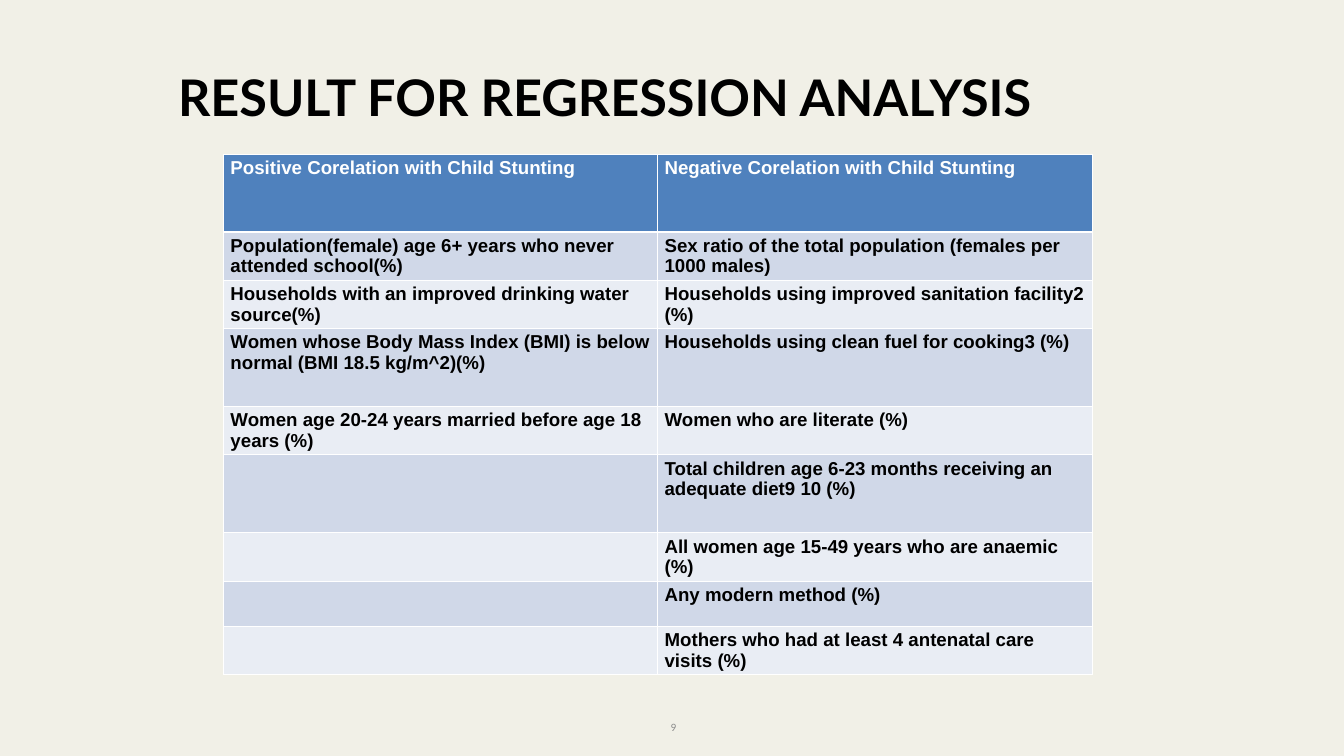
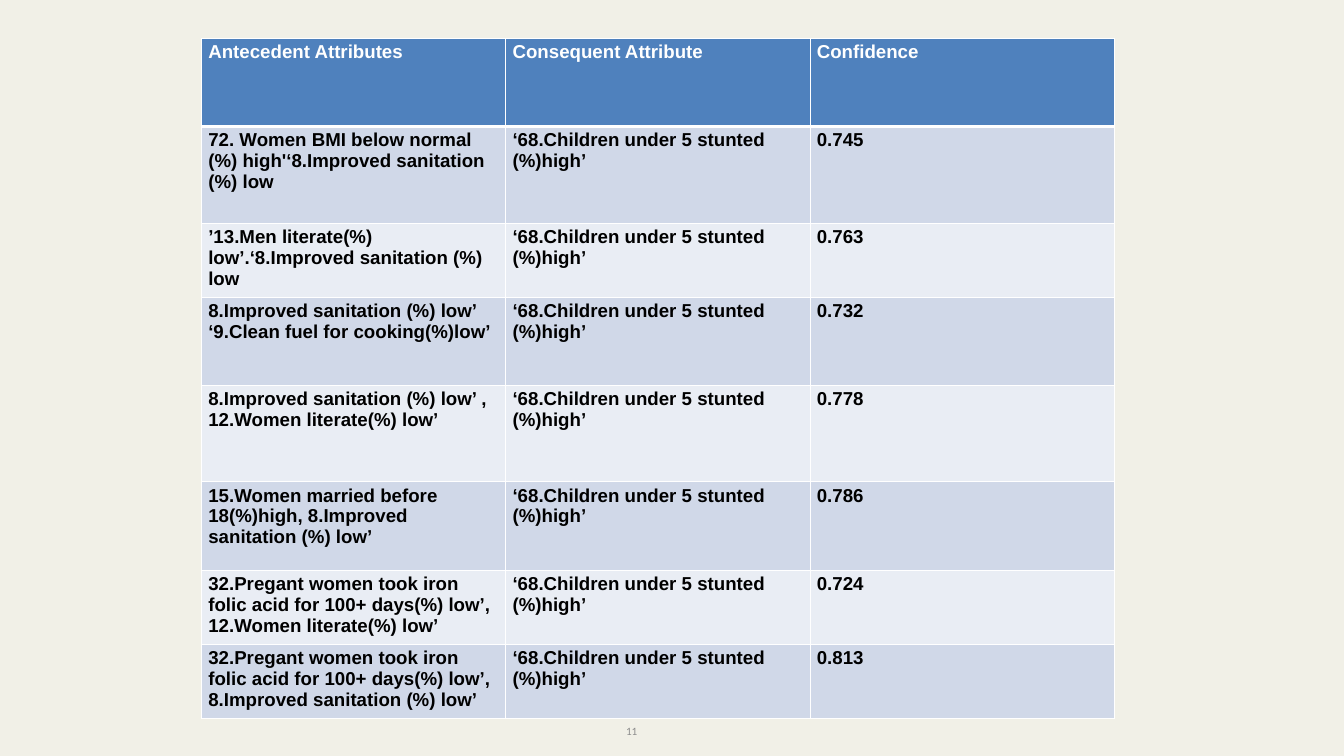
import pptx
import pptx.dml.color
import pptx.enum.text
import pptx.oxml
import pptx.oxml.ns
import pptx.util
from dataclasses import dataclass

Pt = pptx.util.Pt
Align = pptx.enum.text.PP_ALIGN
Anchor = pptx.enum.text.MSO_ANCHOR

STUNTED = "‘68.Children under 5 stunted (%)high’"

REGRESSION = {
    "title": "RESULT FOR REGRESSION ANALYSIS",
    "number": "9",
    "number_at": (563.75, 764.65),
    "table_at": (239.75, 164.9),
    "column_width": 465.1,
    "row_heights": (83.5, 51.5, 51.5, 83.5, 51.5, 83.5, 52, 48, 51.5),
    "rows": [
        ("Positive Corelation with Child Stunting",
         "Negative Corelation with Child Stunting"),
        ("Population(female) age 6+ years who never attended school(%)",
         "Sex ratio of the total population (females per 1000 males)"),
        ("Households with an improved drinking water source(%)",
         "Households using improved sanitation facility2 (%)"),
        ("Women whose Body Mass Index (BMI) is below normal (BMI 18.5 kg/m^2)(%)",
         "Households using clean fuel for cooking3 (%)"),
        ("Women age 20-24 years married before age 18 years (%)",
         "Women who are literate (%)"),
        ("", "Total children age 6-23 months receiving an adequate diet9 10 (%)"),
        ("", "All women age 15-49 years who are anaemic (%)"),
        ("", "Any modern method (%)"),
        ("", "Mothers who had at least 4 antenatal care visits (%)"),
    ],
}

RULES = {
    "title": None,
    "number": "11",
    "number_at": (522, 769),
    "table_at": (216, 41),
    "column_width": 326,
    "row_heights": (94.5, 104, 79, 94.5, 103, 95, 79, 79),
    "rows": [
        ("Antecedent Attributes", "Consequent Attribute", "Confidence"),
        ("72. Women BMI below normal (%) high'‘8.Improved sanitation (%) low",
         STUNTED, "0.745"),
        ("’13.Men literate(%) low’.‘8.Improved sanitation (%) low",
         STUNTED, "0.763"),
        ("8.Improved sanitation (%) low’ ‘9.Clean fuel for cooking(%)low’",
         STUNTED, "0.732"),
        ("8.Improved sanitation (%) low’ , 12.Women literate(%) low’",
         STUNTED, "0.778"),
        ("15.Women married before 18(%)high, 8.Improved sanitation (%) low’",
         STUNTED, "0.786"),
        ("32.Pregant women took iron folic acid for 100+ days(%) low’, "
         "12.Women literate(%) low’", STUNTED, "0.724"),
        ("32.Pregant women took iron folic acid for 100+ days(%) low’, "
         "8.Improved sanitation (%) low’", STUNTED, "0.813"),
    ],
}


@dataclass(frozen=True)
class Theme:
    background: str = "F1F0E7"
    header: str = "4F81BD"
    bands: tuple = ("D0D8E8", "E9EDF4")
    border: str = "FFFFFF"
    header_text: str = "FFFFFF"
    text: str = "000000"
    number: str = "8C8C8C"
    title_font: str = "Lato"
    table_font: str = "Arial"
    number_font: str = "Calibri"
    title_size: float = 54
    table_size: float = 20
    number_size: float = 12
    thin_line: float = 1
    header_line: float = 3


THEME = Theme()


def rgb(color):
    return pptx.dml.color.RGBColor.from_string(color)


def write_text(frame, text, *, font, size, color, bold=False,
               align=None, line_spacing=None):
    paragraph = frame.paragraphs[0]
    paragraph.alignment = align
    if line_spacing:
        paragraph.line_spacing = Pt(line_spacing)
    run = paragraph.add_run()
    run.text = text
    run.font.name = font
    run.font.size = Pt(size)
    run.font.bold = bold
    run.font.color.rgb = rgb(color)


def add_text_box(slide, left, top, width, height):
    frame = slide.shapes.add_textbox(Pt(left), Pt(top), Pt(width), Pt(height)).text_frame
    frame.word_wrap = True
    return frame


def add_title(slide, text):
    frame = add_text_box(slide, -36, 16.5, 1368, 107)
    frame.margin_left = frame.margin_right = frame.margin_top = frame.margin_bottom = 0
    frame.auto_size = pptx.enum.text.MSO_AUTO_SIZE.SHAPE_TO_FIT_TEXT
    write_text(frame, text, font=THEME.title_font, size=THEME.title_size,
               color=THEME.text, bold=True, align=Align.CENTER, line_spacing=119)


def add_slide_number(slide, text, left, top):
    frame = add_text_box(slide, left, top, 168, 28.8)
    frame.vertical_anchor = Anchor.MIDDLE
    write_text(frame, text, font=THEME.number_font, size=THEME.number_size,
               color=THEME.number, align=Align.RIGHT)


def set_borders(cell, top, bottom):
    """Draw all four sides; must run before the cell's fill is set."""
    properties = cell._tc.get_or_add_tcPr()
    widths = {"lnL": THEME.thin_line, "lnR": THEME.thin_line, "lnT": top, "lnB": bottom}
    for side, width in widths.items():
        properties.append(pptx.oxml.parse_xml(
            f'<a:{side} {pptx.oxml.ns.nsdecls("a")} w="{Pt(width)}"><a:solidFill>'
            f'<a:srgbClr val="{THEME.border}"/></a:solidFill></a:{side}>'))


def add_banded_table(slide, content):
    rows, heights = content["rows"], content["row_heights"]
    left, top = content["table_at"]
    width = content["column_width"]
    columns = len(rows[0])
    table = slide.shapes.add_table(len(rows), columns, Pt(left), Pt(top),
                                   Pt(width * columns), Pt(sum(heights))).table
    for column in table.columns:
        column.width = Pt(width)
    for index, (texts, height) in enumerate(zip(rows, heights)):
        is_header = index == 0
        table.rows[index].height = Pt(height)
        for cell, text in zip(table.rows[index].cells, texts):
            set_borders(cell,
                        top=THEME.header_line if index == 1 else THEME.thin_line,
                        bottom=THEME.header_line if is_header else THEME.thin_line)
            cell.fill.solid()
            cell.fill.fore_color.rgb = rgb(
                THEME.header if is_header else THEME.bands[(index - 1) % 2])
            if text:
                write_text(cell.text_frame, text, font=THEME.table_font,
                           size=THEME.table_size, bold=True,
                           color=THEME.header_text if is_header else THEME.text)


def add_slide(presentation, content):
    slide = presentation.slides.add_slide(presentation.slide_layouts[6])
    slide.background.fill.solid()
    slide.background.fill.fore_color.rgb = rgb(THEME.background)
    add_banded_table(slide, content)
    if content["title"]:
        add_title(slide, content["title"])
    add_slide_number(slide, content["number"], *content["number_at"])


def main():
    presentation = pptx.Presentation()
    presentation.slide_width = Pt(1440)
    presentation.slide_height = Pt(810)
    for content in (REGRESSION, RULES):
        add_slide(presentation, content)
    presentation.save("out.pptx")


if __name__ == "__main__":
    main()
